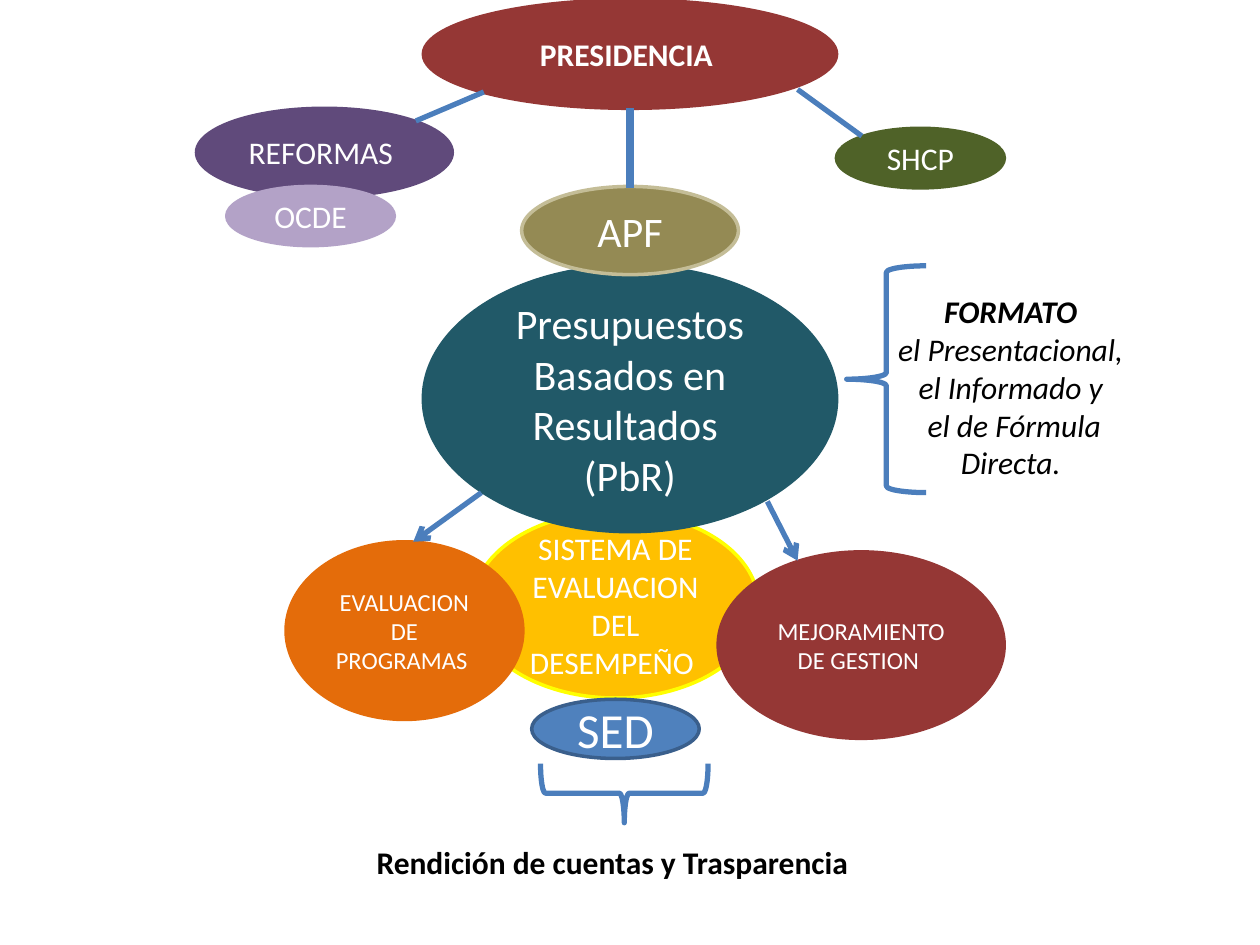
from lxml import etree
from pptx import Presentation
from pptx.dml.color import RGBColor
from pptx.enum.shapes import MSO_CONNECTOR, MSO_SHAPE
from pptx.enum.text import MSO_ANCHOR, PP_ALIGN
from pptx.oxml.ns import qn
from pptx.util import Inches, Pt

OVAL, BRACE = MSO_SHAPE.OVAL, MSO_SHAPE.LEFT_BRACE
STRAIGHT = MSO_CONNECTOR.STRAIGHT
MIDDLE = MSO_ANCHOR.MIDDLE
CENTER, LEFT = PP_ALIGN.CENTER, PP_ALIGN.LEFT
FONT = "Calibri"
WHITE, BLACK, BLUE = "FFFFFF", "000000", "4B7EBC"
BURGUNDY = "953735"


def color(hex_value):
    """Turn a hex string into a colour."""
    return RGBColor.from_string(hex_value)


def set_line(line, hex_value, width):
    """Give a line its colour and width in points."""
    line.color.rgb = color(hex_value)
    line.width = Pt(width)


def write(frame, paragraphs, size, hex_value, align=CENTER, bold=False, italic=False):
    """Fill a text frame with one paragraph per string."""
    for index, text in enumerate(paragraphs):
        paragraph = frame.add_paragraph() if index else frame.paragraphs[0]
        paragraph.text = text
        paragraph.alignment = align
        font = paragraph.font
        font.name, font.size = FONT, Pt(size)
        font.bold, font.italic = bold, italic
        font.color.rgb = color(hex_value)


def add_oval(slide, box, fill, paragraphs, size, outline=None, width=2, bold=False):
    """Add a filled ellipse with centred white text."""
    oval = slide.shapes.add_shape(OVAL, *map(Inches, box))
    oval.shadow.inherit = False
    oval.fill.solid()
    oval.fill.fore_color.rgb = color(fill)
    set_line(oval.line, outline or fill, width)
    frame = oval.text_frame
    frame.word_wrap = True
    frame.vertical_anchor = MIDDLE
    write(frame, paragraphs, size, WHITE, bold=bold)


def add_brace(slide, box, rotation=0):
    """Add an unfilled brace."""
    brace = slide.shapes.add_shape(BRACE, *map(Inches, box))
    brace.shadow.inherit = False
    brace.fill.background()
    set_line(brace.line, BLUE, 3)
    brace.rotation = rotation


def add_link(slide, start, end, width=3, arrow=False):
    """Add a straight connector, with an arrowhead at its end if asked."""
    link = slide.shapes.add_connector(STRAIGHT, *map(Inches, start + end))
    set_line(link.line, BLUE, width)
    properties = link._element.spPr
    if arrow:
        etree.SubElement(properties.find(qn("a:ln")), qn("a:tailEnd"), type="arrow")
    etree.SubElement(properties, qn("a:effectLst"))


def add_label(slide, box, paragraphs, wrap=True, **style):
    """Add a black text box and return its text frame."""
    frame = slide.shapes.add_textbox(*map(Inches, box)).text_frame
    frame.word_wrap = wrap
    write(frame, paragraphs, 18, BLACK, **style)
    return frame


def main():
    """Build the diagram of results-based budgeting."""
    deck = Presentation()
    deck.slide_width, deck.slide_height = Inches(10), Inches(7.5)
    slide = deck.slides.add_slide(deck.slide_layouts[6])

    add_oval(slide, (3.75, 4.06, 2.27, 1.48), "FFC000",
             ["SISTEMA DE EVALUACION DEL DESEMPEÑO "], 18, outline="FFFF00")
    add_oval(slide, (3.36, 2.11, 3.28, 2.11), "215968",
             ["Presupuestos Basados en Resultados ", "(PbR)"], 24)
    add_oval(slide, (4.14, 1.48, 1.72, 0.7), "948A54", ["APF"], 24, outline="C4BD97")
    add_oval(slide, (1.56, 0.86, 2.03, 0.7), "604A7B", ["REFORMAS "], 18)
    add_oval(slide, (6.64, 1.02, 1.33, 0.47), "4F6228", ["SHCP"], 18, width=2.25)
    add_oval(slide, (2.27, 4.3, 1.88, 1.41), "E46C0A", ["EVALUACION DE PROGRAMAS "], 14)
    add_oval(slide, (5.7, 4.38, 2.27, 1.48), BURGUNDY, ["MEJORAMIENTO DE GESTION "], 14)
    add_oval(slide, (3.36, 0, 3.28, 0.86), BURGUNDY, ["PRESIDENCIA "], 18, bold=True)
    add_oval(slide, (1.8, 1.48, 1.33, 0.47), "B3A2C7", ["OCDE"], 18)

    formats = add_label(slide, (6.88, 2.27, 2.34, 1.62),
                        ["FORMATO ", "el Presentacional, ", "el Informado y ",
                         "el de Fórmula Directa. "], italic=True)
    formats.paragraphs[0].font.bold = True
    add_brace(slide, (6.72, 2.11, 0.63, 1.8))

    add_link(slide, (3.84, 0.73), (3.3, 0.96))
    add_link(slide, (6.33, 0.71), (6.84, 1.08))
    add_link(slide, (5, 0.86), (5, 1.49), width=4.5)
    add_link(slide, (3.82, 3.91), (3.28, 4.3), arrow=True)
    add_link(slide, (6.09, 3.98), (6.33, 4.45), arrow=True)

    add_oval(slide, (4.22, 5.55, 1.33, 0.47), "4F81BD", ["SED"], 28, outline="3A5F8C")
    add_brace(slide, (4.72, 5.63, 0.47, 1.33), rotation=270)
    add_label(slide, (2.89, 6.64, 4.03, 0.4), ["Rendición de cuentas y Trasparencia"],
              wrap=False, align=LEFT, bold=True)

    deck.save("out.pptx")


if __name__ == "__main__":
    main()
